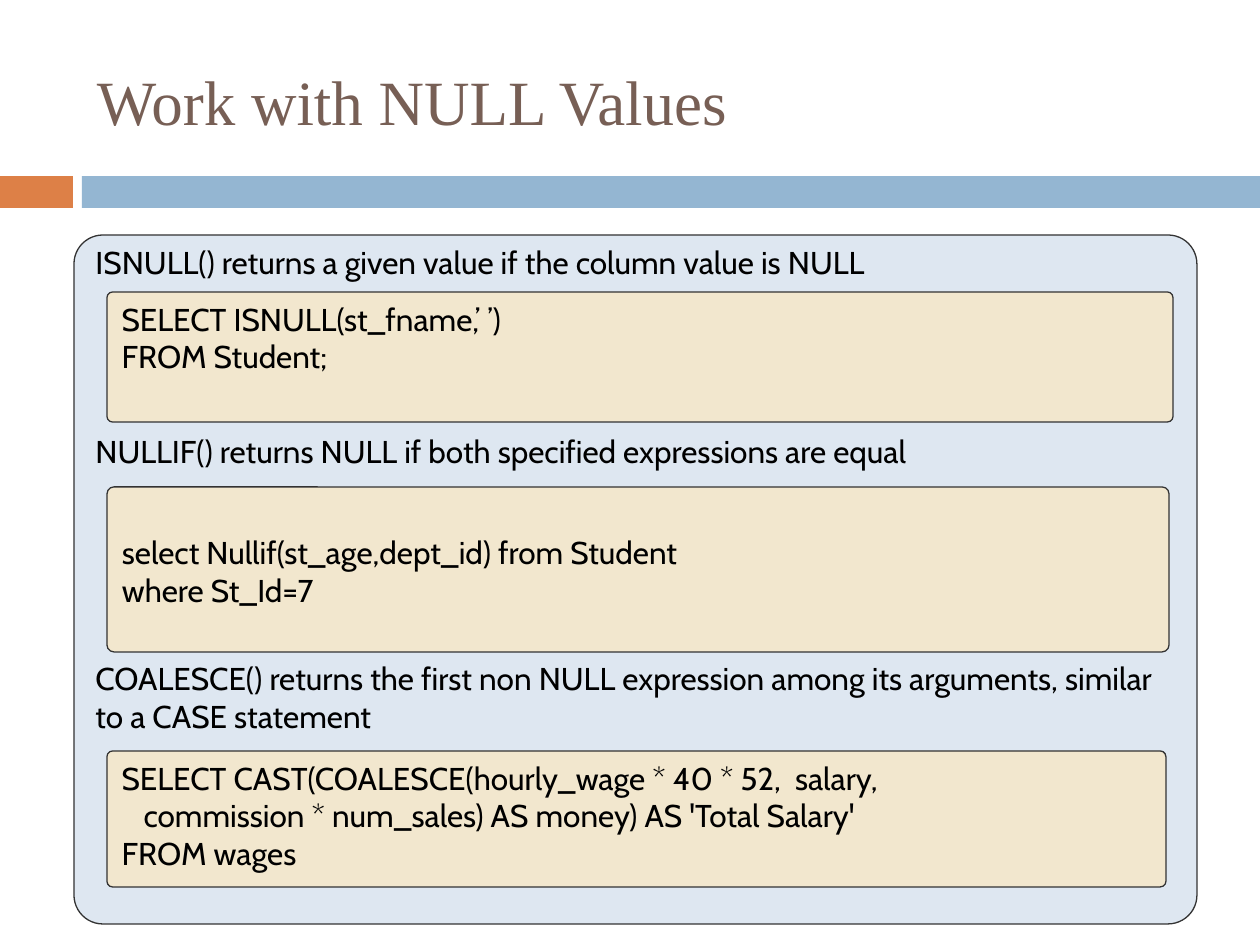
from dataclasses import dataclass

from pptx import Presentation
from pptx.dml.color import RGBColor
from pptx.enum.shapes import MSO_SHAPE
from pptx.enum.text import MSO_ANCHOR, PP_ALIGN
from pptx.util import Emu, Pt

PX_PER_INCH = 126


@dataclass(frozen=True)
class Theme:
    accent: str = "DD8047"
    band: str = "94B6D2"
    heading: str = "775F55"
    panel: str = "DEE7F1"
    code: str = "F2E7CE"
    outline: str = "333333"
    ink: str = "000000"
    heading_font: str = "Times New Roman"
    body_font: str = "Cabin"
    heading_size: int = 36
    body_size: int = 18
    line_width: float = 0.75
    corner: float = 0.042


THEME = Theme()
LINE_PX = 38
BLANK_LINE_PT = 21.6


def px(length):
    return Emu(round(length * 914400 / PX_PER_INCH))


def color(value):
    return RGBColor.from_string(value)


def add_block(slide, box, fill, preset=MSO_SHAPE.RECTANGLE):
    block = slide.shapes.add_shape(preset, *map(px, box))
    block.shadow.inherit = False
    block.fill.solid()
    block.fill.fore_color.rgb = color(fill)
    block.line.fill.background()
    return block


def add_card(slide, box, fill):
    card = add_block(slide, box, fill, MSO_SHAPE.ROUNDED_RECTANGLE)
    card.adjustments[0] = THEME.corner
    card.line.color.rgb = color(THEME.outline)
    card.line.width = Pt(THEME.line_width)
    return card


def set_frame(frame, anchor, top, bottom):
    frame.word_wrap = True
    frame.vertical_anchor = anchor
    frame.margin_left = frame.margin_right = px(13)
    frame.margin_top, frame.margin_bottom = px(top), px(bottom)


def add_line(frame, index, text, font, size, ink):
    line = frame.paragraphs[0] if index == 0 else frame.add_paragraph()
    line.alignment = PP_ALIGN.LEFT
    run = line.add_run()
    run.text = text
    run.font.name = font
    run.font.size = Pt(size)
    run.font.color.rgb = color(ink)
    return line


def add_body_line(frame, index, text):
    return add_line(frame, index, text, THEME.body_font, THEME.body_size, THEME.ink)


def add_heading(slide, text):
    heading = slide.shapes.add_textbox(*map(px, (84, 32, 1124, 136)))
    set_frame(heading.text_frame, MSO_ANCHOR.MIDDLE, 6, 6)
    add_line(heading.text_frame, 0, text, THEME.heading_font,
             THEME.heading_size, THEME.heading)


def add_panel(slide, descriptions):
    frame = add_card(slide, (74, 235, 1123, 689), THEME.panel).text_frame
    set_frame(frame, MSO_ANCHOR.TOP, 0, 5)
    for index, (text, gap_lines) in enumerate(descriptions):
        line = add_body_line(frame, index, text)
        if gap_lines:
            line.space_before = Pt(gap_lines * BLANK_LINE_PT)


def add_code(slide, top, width, height, lines, lead_lines=0):
    frame = add_card(slide, (107, top, width, height), THEME.code).text_frame
    set_frame(frame, MSO_ANCHOR.TOP, 6 + lead_lines * LINE_PX, 6)
    for index, (text, indent) in enumerate(lines):
        line = add_body_line(frame, index, text)
        if indent:
            properties = line._p.get_or_add_pPr()
            properties.set("marL", str(px(indent)))
            properties.set("indent", "0")


def main():
    deck = Presentation()
    deck.slide_width, deck.slide_height = px(1260), px(945)
    slide = deck.slides.add_slide(deck.slide_layouts[6])

    add_block(slide, (0, 176, 73, 32), THEME.accent)
    add_block(slide, (82, 176, 1178, 32), THEME.band)
    add_heading(slide, "Work with NULL Values")
    add_panel(slide, [
        ("ISNULL() returns a given value if the column value is NULL", 0),
        ("NULLIF() returns NULL if both specified expressions are equal", 4),
        ("COALESCE() returns the first non NULL expression among its arguments, "
         "similar to a CASE statement", 5),
    ])
    add_code(slide, 292, 1066, 130, [
        ("SELECT ISNULL(st_fname,’ ’)", 0),
        ("FROM Student;", 0),
    ])
    add_code(slide, 487, 1062, 165, [
        ("select Nullif(st_age,dept_id) from Student", 0),
        ("where St_Id=7", 0),
    ], lead_lines=1)
    add_code(slide, 751, 1059, 136, [
        ("SELECT CAST(COALESCE(hourly_wage * 40 * 52,  salary,", 0),
        ("commission * num_sales) AS money) AS 'Total Salary'", 22),
        ("FROM wages", 0),
    ])
    deck.save("out.pptx")


if __name__ == "__main__":
    main()
